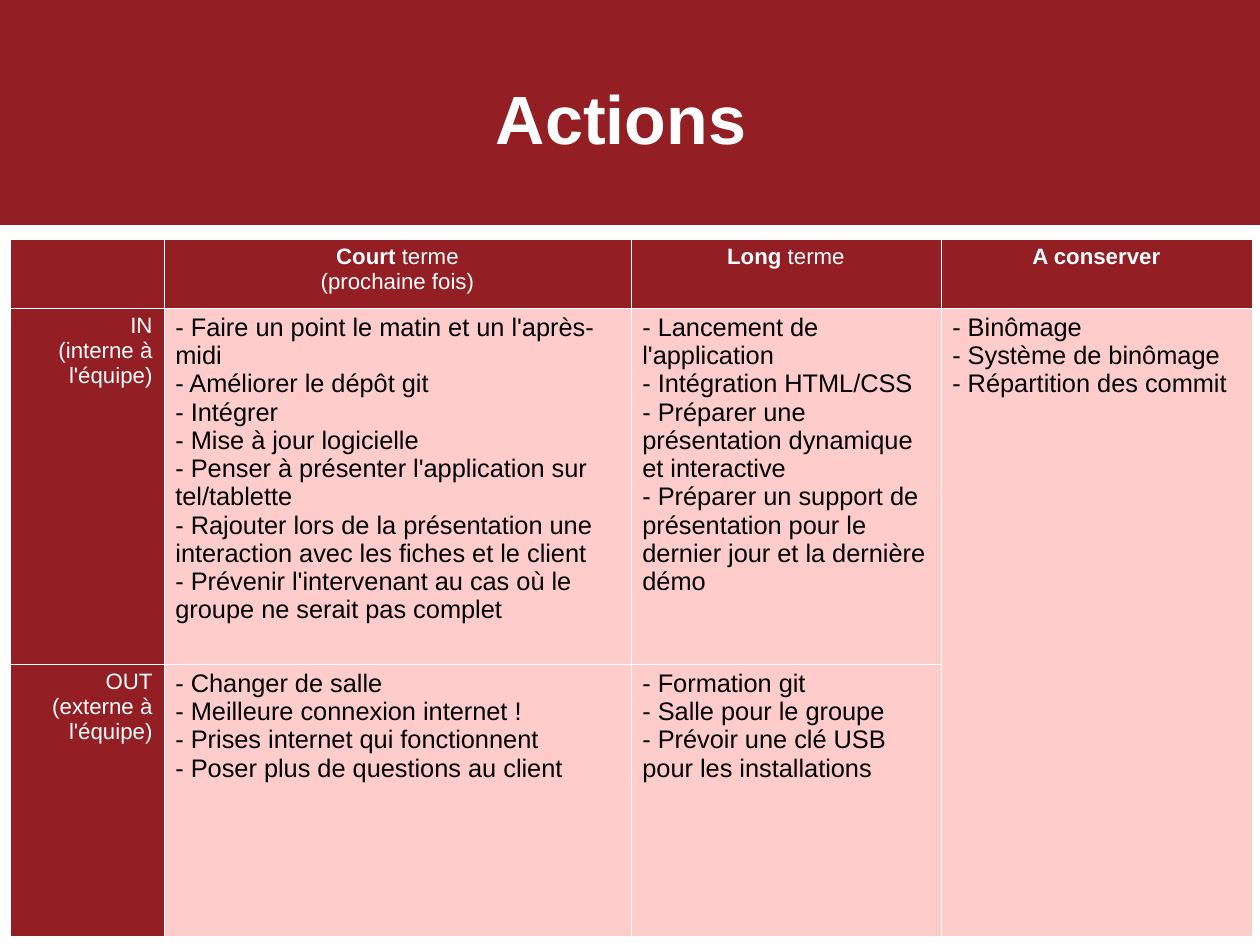
"""Build the "Actions" slide: a title band above a table of short and long term actions."""
import dataclasses
import typing

import lxml.etree
import pptx
import pptx.dml.color
import pptx.enum.shapes
import pptx.enum.text
import pptx.oxml.ns
import pptx.util

PX = 8000
FONT = "Arial"
COLOURS = {"red": "931F25", "pink": "FFCCCC", "white": "FFFFFF", "black": "000000"}
ALIGN = pptx.enum.text.PP_ALIGN
COLUMN_WIDTHS = [154, 467, 310, 311]
ROW_HEIGHTS = [69, 356, 272]
BORDER_EMU = 762


@dataclasses.dataclass(frozen=True)
class Span:
    text: str
    bold: bool = False


@dataclasses.dataclass(frozen=True)
class Style:
    size: int
    colour: str
    fill: str
    align: ALIGN


@dataclasses.dataclass(frozen=True)
class Entry:
    style: Style
    lines: list[list[Span]]


TITLE = Style(43, "white", "red", ALIGN.CENTER)
HEADING = Style(14, "white", "red", ALIGN.CENTER)
SIDE = Style(14, "white", "red", ALIGN.RIGHT)
BODY = Style(16, "black", "pink", ALIGN.LEFT)


def plain(style: Style, *lines: str) -> Entry:
    return Entry(style, [[Span(line)] for line in lines])


def actions(*items: str) -> Entry:
    return plain(BODY, *(f"- {item}" for item in items))


ROWS = [
    [
        plain(HEADING),
        Entry(HEADING, [[Span("Court", True), Span(" terme")], [Span("(prochaine fois)")]]),
        Entry(HEADING, [[Span("Long", True), Span(" terme")]]),
        Entry(HEADING, [[Span("A conserver", True)]]),
    ],
    [
        plain(SIDE, "IN", "(interne à l'équipe)"),
        actions(
            "Faire un point le matin et un l'après-midi",
            "Améliorer le dépôt git",
            "Intégrer",
            "Mise à jour logicielle",
            "Penser à présenter l'application sur tel/tablette",
            "Rajouter lors de la présentation une interaction avec les fiches et le client",
            "Prévenir l'intervenant au cas où le groupe ne serait pas complet",
        ),
        actions(
            "Lancement de l'application",
            "Intégration HTML/CSS",
            "Préparer une présentation dynamique et interactive",
            "Préparer un support de présentation pour le dernier jour et la dernière démo",
        ),
        actions("Binômage", "Système de binômage", "Répartition des commit"),
    ],
    [
        plain(SIDE, "OUT", "(externe à l'équipe)"),
        actions(
            "Changer de salle",
            "Meilleure connexion internet !",
            "Prises internet qui fonctionnent",
            "Poser plus de questions au client",
        ),
        actions(
            "Formation git",
            "Salle pour le groupe",
            "Prévoir une clé USB pour les installations",
        ),
        plain(BODY),
    ],
]


def px(*lengths: int) -> list[pptx.util.Emu]:
    return [pptx.util.Emu(length * PX) for length in lengths]


def rgb(name: str) -> pptx.dml.color.RGBColor:
    return pptx.dml.color.RGBColor.from_string(COLOURS[name])


def write(frame: typing.Any, entry: Entry) -> None:
    frame.word_wrap = True
    for index, line in enumerate(entry.lines):
        para = frame.add_paragraph() if index else frame.paragraphs[0]
        para.alignment = entry.style.align
        for span in line:
            run = para.add_run()
            run.text = span.text
            run.font.name = FONT
            run.font.size = pptx.util.Pt(entry.style.size)
            run.font.bold = span.bold
            run.font.color.rgb = rgb(entry.style.colour)


def outline(cell: typing.Any) -> None:
    qn = pptx.oxml.ns.qn
    properties = cell._tc.get_or_add_tcPr()
    for index, side in enumerate(("a:lnL", "a:lnR", "a:lnT", "a:lnB")):
        line = lxml.etree.Element(qn(side), w=str(BORDER_EMU))
        fill = lxml.etree.SubElement(line, qn("a:solidFill"))
        lxml.etree.SubElement(fill, qn("a:srgbClr"), val=COLOURS["white"])
        properties.insert(index, line)


def add_title(page: typing.Any) -> None:
    band = page.shapes.add_shape(pptx.enum.shapes.MSO_SHAPE.RECTANGLE, *px(0, 0, 1260, 225))
    band.shadow.inherit = False
    band.fill.solid()
    band.fill.fore_color.rgb = rgb(TITLE.fill)
    band.line.color.rgb = rgb(TITLE.fill)
    band.line.width = pptx.util.Pt(0)
    box = page.shapes.add_textbox(*px(9, 38, 1224, 158))
    frame = box.text_frame
    frame.margin_left = frame.margin_right = frame.margin_top = frame.margin_bottom = 0
    frame.vertical_anchor = pptx.enum.text.MSO_ANCHOR.MIDDLE
    write(frame, Entry(TITLE, [[Span("Actions", True)]]))


def add_actions_table(page: typing.Any) -> None:
    place = px(10, 239, sum(COLUMN_WIDTHS), sum(ROW_HEIGHTS))
    table = page.shapes.add_table(len(ROW_HEIGHTS), len(COLUMN_WIDTHS), *place).table
    table.first_row = table.horz_banding = False
    for column, width in zip(table.columns, px(*COLUMN_WIDTHS)):
        column.width = width
    for row, height in zip(table.rows, px(*ROW_HEIGHTS)):
        row.height = height
    for row, entries in zip(table.rows, ROWS):
        for cell, entry in zip(row.cells, entries):
            cell.fill.solid()
            cell.fill.fore_color.rgb = rgb(entry.style.fill)
            outline(cell)
            write(cell.text_frame, entry)
    table.cell(1, 3).merge(table.cell(2, 3))


def main() -> None:
    deck = pptx.Presentation()
    deck.slide_width, deck.slide_height = px(1260, 945)
    page = deck.slides.add_slide(deck.slide_layouts[6])
    add_title(page)
    add_actions_table(page)
    deck.save("out.pptx")


if __name__ == "__main__":
    main()
